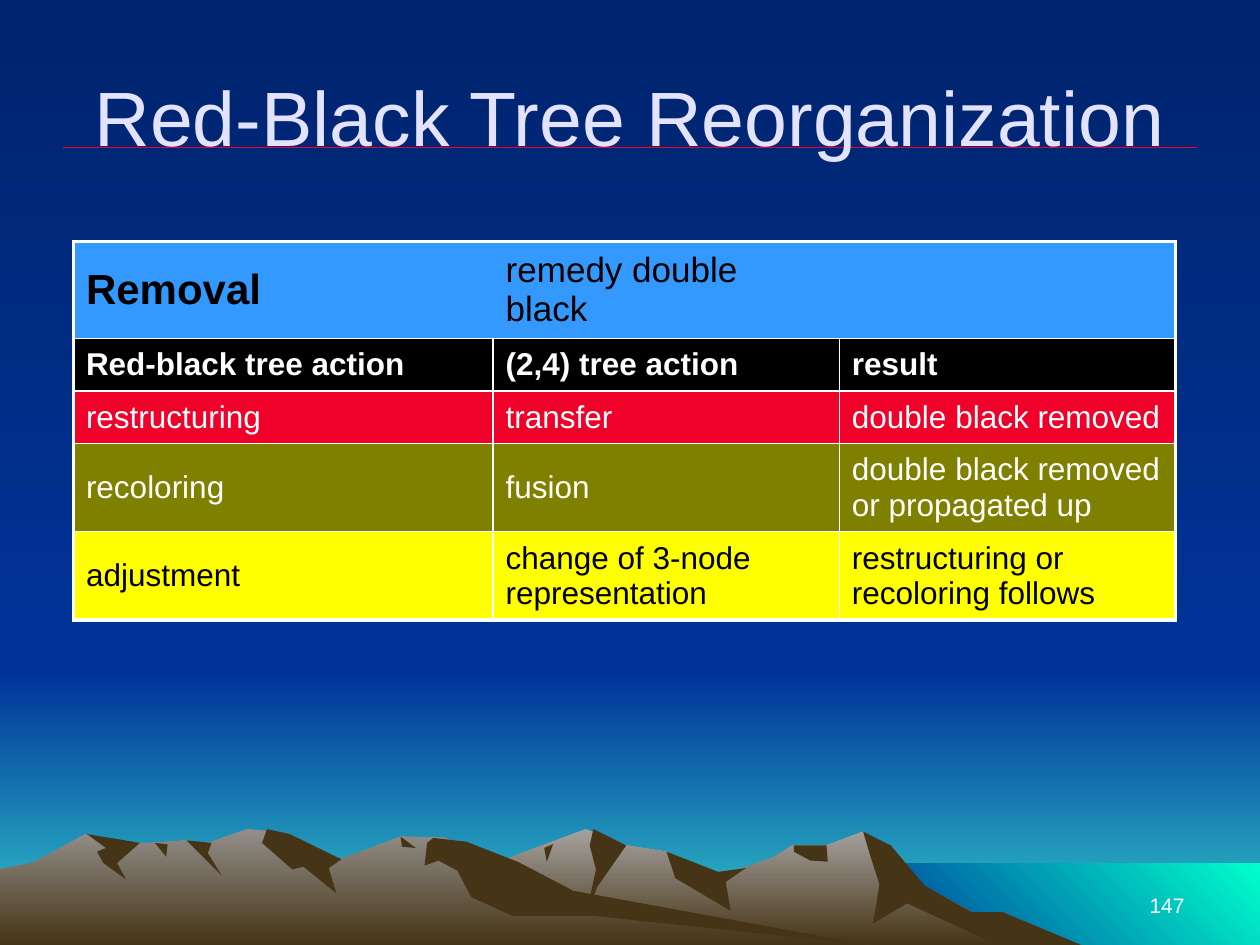
from lxml import etree
from pptx import Presentation
from pptx import util as u
from pptx.dml.color import RGBColor
from pptx.enum import shapes, text
from pptx.oxml import ns

NIGHT = RGBColor.from_string("00246D")
BLUE = RGBColor.from_string("003399")
HORIZON = RGBColor.from_string("33CCCC")
AQUA = RGBColor.from_string("00FFCC")
EARTH = RGBColor.from_string("463416")
ROCK_LIGHT = RGBColor.from_string("A5A29F")
ROCK_GREY = RGBColor.from_string("938F8B")
LAVENDER = RGBColor.from_string("E3E3FF")
RED = RGBColor.from_string("EF0129")
SKY_BLUE = RGBColor.from_string("3399FF")
OLIVE = RGBColor.from_string("808000")
YELLOW = RGBColor.from_string("FFFF00")
BLACK = RGBColor.from_string("000000")
WHITE = RGBColor.from_string("FFFFFF")

FONT = "Arial"
GRID = u.Cm(2.54) / 100  # outline points lie on a grid of 1/100 inch
DOWN, UP_RIGHT = 270, 45

# Each range: light colour, outline, and the outlines of its shaded slopes
RIGHT_RANGE = (
    ROCK_LIGHT,
    [(258, 150), (355, 98), (399, 83), (465, 58), (497, 71), (529, 76), (566, 97),
     (613, 81), (629, 71), (656, 71), (685, 60), (723, 98), (820, 150)],
    [
        [(685, 60), (691, 80), (698, 102), (693, 133), (720, 117), (792, 150), (858, 150),
         (796, 124), (771, 124), (734, 103), (707, 71)],
        [(471, 58), (468, 71), (473, 90), (465, 127), (474, 104), (497, 71)],
        [(529, 76), (536, 97), (580, 123), (576, 100), (592, 89), (570, 92)],
        [(630, 71), (630, 76), (643, 83), (657, 84), (656, 71)],
        [(432, 73), (439, 70), (434, 84)],
    ])
LEFT_RANGE = (
    ROCK_GREY,
    [(0, 150), (0, 90), (26, 85), (68, 62), (94, 71), (148, 67), (160, 71), (196, 58),
     (219, 60), (271, 82), (318, 64), (354, 65), (432, 112), (690, 150)],
    [
        [(212, 58), (208, 69), (232, 90), (241, 88), (267, 109), (261, 89), (271, 82),
         (230, 62)],
        [(339, 69), (337, 87), (348, 83), (363, 91), (374, 112), (407, 127), (472, 127),
         (690, 150), (455, 107), (411, 84), (370, 68), (344, 65)],
        [(318, 64), (330, 73), (319, 72)],
        [(148, 67), (168, 69), (165, 77), (176, 95)],
        [(123, 69), (133, 70), (132, 80)],
        [(69, 62), (111, 69), (93, 85), (100, 98), (82, 85), (77, 76), (84, 73)],
    ])

# Each row: height in cm, fill, font colour, size, bold, texts
ROWS = [
    (1.8, SKY_BLUE, BLACK, 20, False, ("Removal", "remedy double black", "")),
    (1.06, BLACK, WHITE, 18, True, ("Red-black tree action", "(2,4) tree action", "result")),
    (1.06, RED, WHITE, 18, False, ("restructuring", "transfer", "double black removed")),
    (1.68, OLIVE, WHITE, 18, False,
     ("recoloring", "fusion", "double black removed or propagated up")),
    (1.68, YELLOW, BLACK, 18, False,
     ("adjustment", "change of 3-node representation", "restructuring or recoloring follows")),
]
COL_WIDTHS = (8.46, 6.98, 6.78)


def paint(fill, colors, angle=DOWN):
    if len(colors) == 1:
        fill.solid()
        fill.fore_color.rgb = colors[0]
        return
    fill.gradient()
    fill.gradient_angle = angle
    for stop, color in zip(fill.gradient_stops, colors):
        stop.color.rgb = color


def finish(sp, colors, angle=DOWN):
    sp.shadow.inherit = False
    sp.line.fill.background()
    paint(sp.fill, colors, angle)


def add_band(s, x, y, w, h, colors, angle=DOWN):
    sp = s.shapes.add_shape(shapes.MSO_SHAPE.RECTANGLE, x, y, w, h)
    finish(sp, colors, angle)


def add_scenery(s, x, y, w, h):
    horizon, sea_x, sea_y = u.Cm(13.54), u.Cm(17.35), u.Cm(17.4)
    add_band(s, x, y + horizon, w, h - horizon, (BLUE, HORIZON))
    add_band(s, x, y, w, horizon, (NIGHT, BLUE))
    add_band(s, x + sea_x, y + sea_y, w - sea_x, h - sea_y, (BLUE, AQUA), UP_RIGHT)
    for light, outline, slopes in (RIGHT_RANGE, LEFT_RANGE):
        add_outline(s, x, y + u.Cm(15.24), outline, (light, EARTH))
        for slope in slopes:
            add_outline(s, x, y + u.Cm(15.24), slope, (EARTH,))


def add_outline(s, x, y, points, colors):
    fb = s.shapes.build_freeform(*points[0], scale=GRID)
    fb.add_line_segments(points[1:], close=True)
    finish(fb.convert_to_shape(x, y), colors)


def add_run(p, content, size, color, bold=False):
    r = p.add_run()
    r.text = content
    r.font.name, r.font.size, r.font.bold = FONT, u.Pt(size), bold
    r.font.color.rgb = color


def add_label(s, x, y, w, h, content, size, color, align, anchor):
    tf = s.shapes.add_textbox(x, y, w, h).text_frame
    tf.word_wrap = True
    tf.vertical_anchor = anchor
    p = tf.paragraphs[0]
    p.alignment = align
    add_run(p, content, size, color)


def add_title(s, x, y, w, h):
    inset, rule_y = u.Cm(0.42), y + u.Cm(2.12)
    rule = s.shapes.add_connector(shapes.MSO_CONNECTOR.STRAIGHT,
                                  x + inset, rule_y, x + w - inset, rule_y)
    rule.line.color.rgb = RED
    rule.line.width = u.Pt(0.75)
    etree.SubElement(rule._element.spPr, ns.qn("a:effectLst"))
    add_label(s, x, y, w, h, "Red-Black Tree Reorganization", 44, LAVENDER,
              text.PP_ALIGN.CENTER, text.MSO_ANCHOR.MIDDLE)


def set_borders(cell, widths):
    """Draw white borders of the given points, left, right, top, bottom; 0 is none."""
    tc_pr = cell._tc.get_or_add_tcPr()
    for i, (side, width) in enumerate(zip("LRTB", widths)):
        ln = etree.Element(ns.qn(f"a:ln{side}"), w=str(u.Pt(width)))
        if width:
            fill = etree.SubElement(ln, ns.qn("a:solidFill"))
            etree.SubElement(fill, ns.qn("a:srgbClr"), val=str(WHITE))
        else:
            etree.SubElement(ln, ns.qn("a:noFill"))
        tc_pr.insert(i, ln)


def add_action_table(s, x, y):
    w, h = u.Cm(sum(COL_WIDTHS)), u.Cm(sum(row[0] for row in ROWS))
    table = s.shapes.add_table(len(ROWS), len(COL_WIDTHS), x, y, w, h).table
    table.first_row = table.horz_banding = False
    for col, width in zip(table.columns, COL_WIDTHS):
        col.width = u.Cm(width)
    last_row, last_col = len(ROWS) - 1, len(COL_WIDTHS) - 1
    outer = 2.25
    for i, (height, fill, color, size, bold, texts) in enumerate(ROWS):
        table.rows[i].height = u.Cm(height)
        inner = 1 if i else 0
        for j, content in enumerate(texts):
            cell = table.cell(i, j)
            cell.vertical_anchor = text.MSO_ANCHOR.MIDDLE
            paint(cell.fill, (fill,))
            set_borders(cell, (inner if j else outer, inner if j < last_col else outer,
                               1 if i else outer, 1 if i < last_row else outer))
            if content:
                heading = i == j == 0
                add_run(cell.text_frame.paragraphs[0], content,
                        24 if heading else size, color, bold or heading)


def main():
    prs = Presentation()
    prs.slide_width, prs.slide_height = u.Cm(25.4), u.Cm(19.05)
    s = prs.slides.add_slide(prs.slide_layouts[6])
    paint(s.background.fill, (NIGHT, BLUE))
    add_scenery(s, 0, 0, prs.slide_width, prs.slide_height)
    add_label(s, u.Cm(18.2), u.Cm(17.36), u.Cm(5.93), u.Cm(1.27), "147", 12, WHITE,
              text.PP_ALIGN.RIGHT, text.MSO_ANCHOR.BOTTOM)
    add_title(s, u.Cm(0.85), u.Cm(0.85), u.Cm(23.7), u.Cm(2.95))
    add_action_table(s, u.Cm(1.48), u.Cm(4.87))
    prs.save("out.pptx")


if __name__ == "__main__":
    main()
